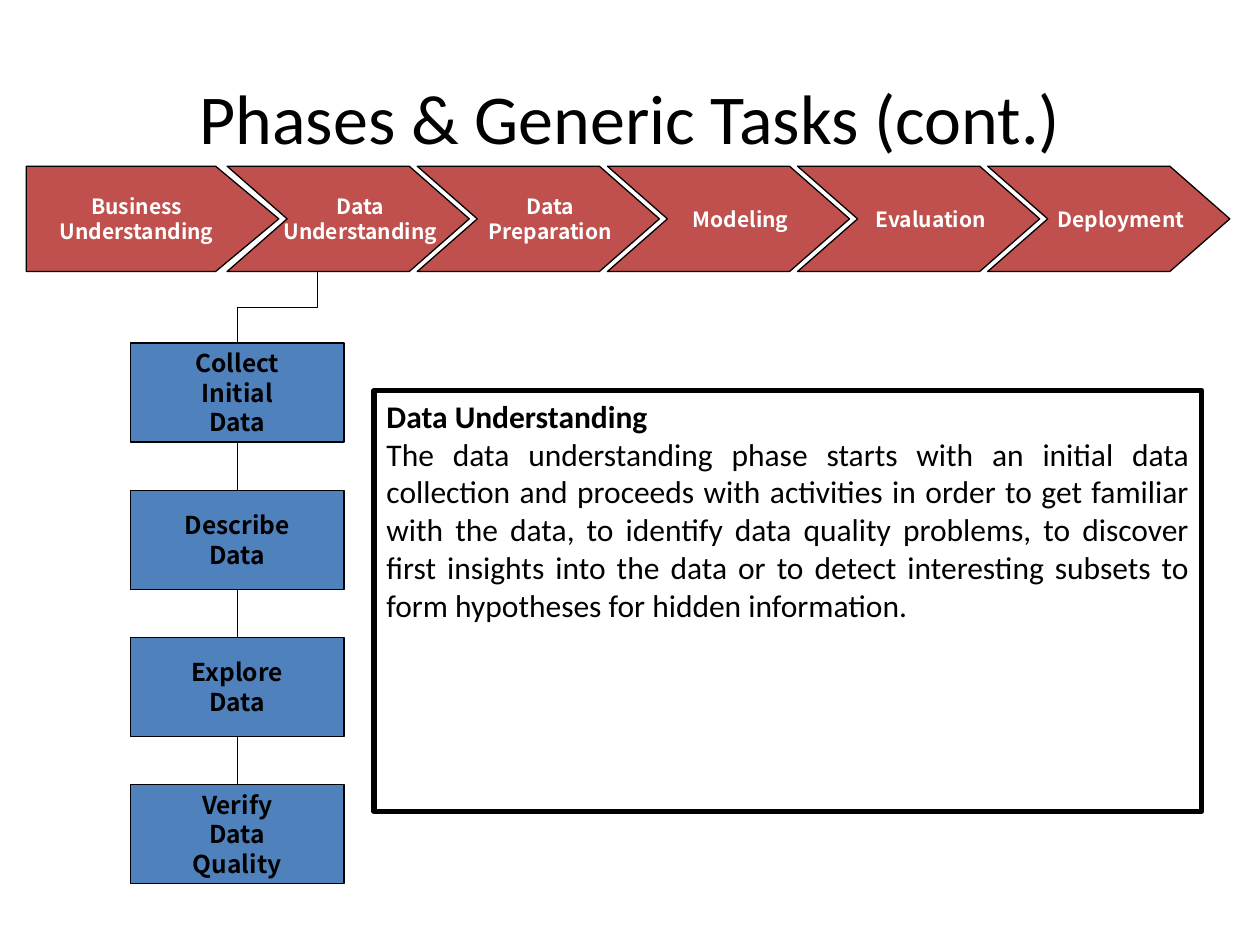
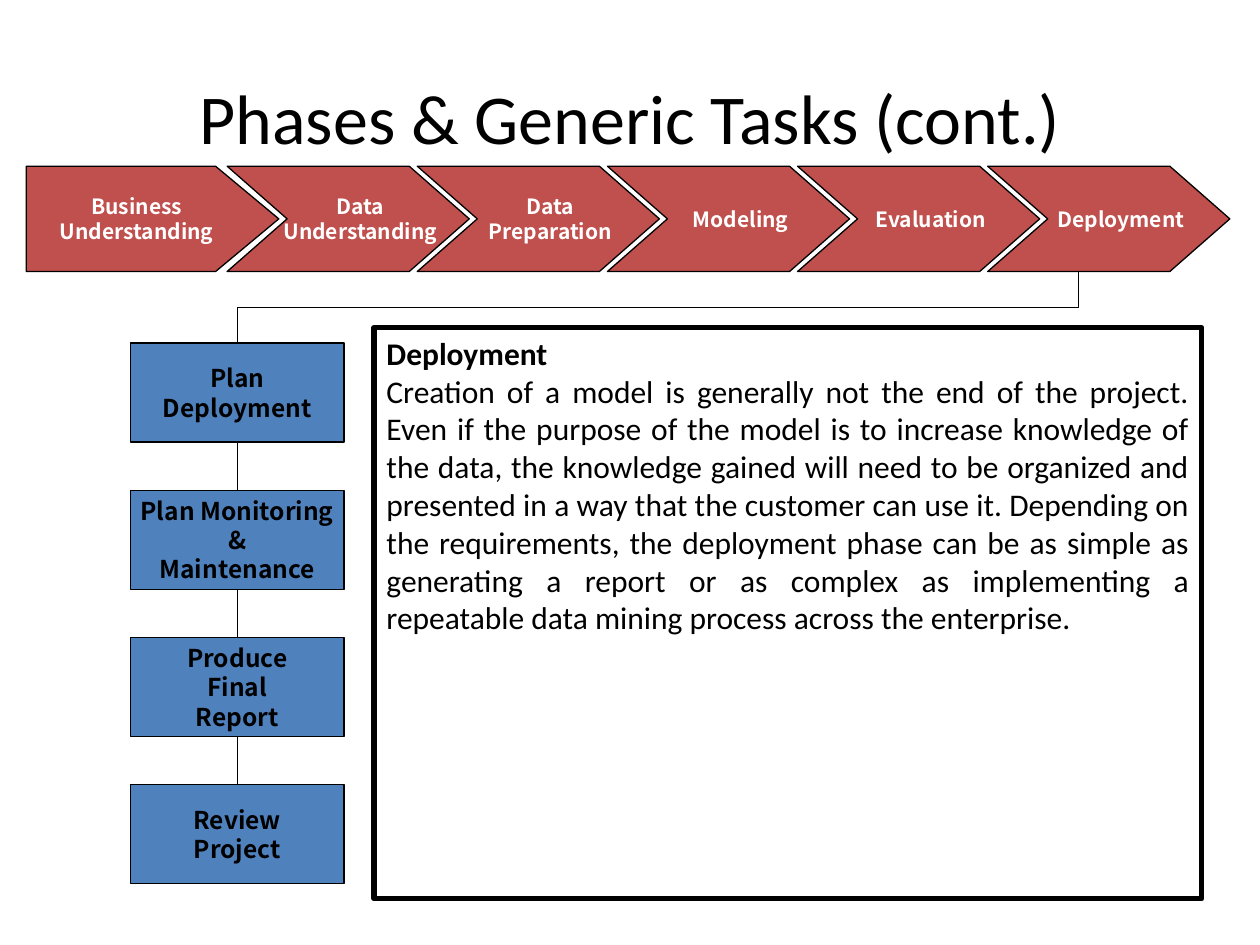
from pptx import Presentation
from pptx.dml.color import RGBColor
from pptx.enum.shapes import MSO_CONNECTOR, MSO_SHAPE
from pptx.enum.text import MSO_ANCHOR, PP_ALIGN
from pptx.oxml.ns import qn
from pptx.util import Pt
from lxml import etree

PENTAGON, CHEVRON = MSO_SHAPE.PENTAGON, MSO_SHAPE.CHEVRON
PROCESS, RECTANGLE = MSO_SHAPE.FLOWCHART_PROCESS, MSO_SHAPE.RECTANGLE
STRAIGHT, ELBOW = MSO_CONNECTOR.STRAIGHT, MSO_CONNECTOR.ELBOW
CENTER, LEFT, JUSTIFY = PP_ALIGN.CENTER, PP_ALIGN.LEFT, PP_ALIGN.JUSTIFY
MIDDLE, TOP = MSO_ANCHOR.MIDDLE, MSO_ANCHOR.TOP

COLORS = {"phase": "C0504D", "task": "4F81BD", "ink": "000000", "light": "FFFFFF"}
TEXT_FONT, DIAGRAM_FONT = "Calibri", "Noto Sans CJK KR"
THIN, THICK = 0.75, 3

# Geometry in points
BAND_TOP, BAND_HEIGHT = 95, 60.2
CHEVRON_LEFT, CHEVRON_WIDTH, CHEVRON_STEP = 129.8, 138.4, 108.65
CHEVRON_INSET = 21
TASK_LEFT, TASK_TOP, TASK_WIDTH, TASK_HEIGHT, TASK_STEP = 74.6, 196, 122, 56.6, 84.1
TASK_CENTER = TASK_LEFT + TASK_WIDTH / 2
# Distance from a chevron's left edge to the point its connector leaves from
EXIT_OFFSET = 51.8

TITLE = "Phases & Generic Tasks (cont.)"
PHASES = ["Business\nUnderstanding", "Data\nUnderstanding", "Data\nPreparation",
          "Modeling", "Evaluation", "Deployment"]

SLIDES = [
    {
        "phase": 1,
        "tasks": ["Collect\nInitial\nData", "Describe\nData", "Explore\nData",
                  "Verify\nData\nQuality"],
        "panel": (223.2, 240.5),
        "heading": "Data Understanding",
        "body": "The data understanding phase starts with an initial data collection "
                "and proceeds with activities in order to get familiar with the data, "
                "to identify data quality problems, to discover first insights into "
                "the data or to detect interesting subsets to form hypotheses for "
                "hidden information.",
    },
    {
        "phase": 5,
        "tasks": ["Plan\nDeployment", "Plan Monitoring\n&\nMaintenance",
                  "Produce\nFinal\nReport", "Review\nProject"],
        "panel": (187.2, 326.4),
        "heading": "Deployment",
        "body": "Creation of a model is generally not the end of the project. Even if "
                "the purpose of the model is to increase knowledge of the data, the "
                "knowledge gained will need to be organized and presented in a way "
                "that the customer can use it. Depending on the requirements, the "
                "deployment phase can be as simple as generating a report or as "
                "complex as implementing a repeatable data mining process across the "
                "enterprise.",
    },
]


def color(name):
    return RGBColor.from_string(COLORS[name])


def write_line(frame, index, text, size, font, ink="ink", bold=False, align=CENTER):
    paragraph = frame.paragraphs[0] if index == 0 else frame.add_paragraph()
    paragraph.alignment = align
    run = paragraph.add_run()
    run.text = text
    run.font.size, run.font.name, run.font.bold = Pt(size), font, bold
    run.font.color.rgb = color(ink)


def add_box(slide, kind, left, top, width, height, fill=None, weight=THIN):
    shape = slide.shapes.add_shape(kind, Pt(left), Pt(top), Pt(width), Pt(height))
    shape.shadow.inherit = False
    if fill:
        shape.fill.solid()
        shape.fill.fore_color.rgb = color(fill)
    else:
        shape.fill.background()
    shape.line.color.rgb = color("ink")
    shape.line.width = Pt(weight)
    return shape


def add_label(shape, label, size, ink):
    frame = shape.text_frame
    frame.word_wrap = False
    frame.vertical_anchor = MIDDLE
    for index, text in enumerate(label.split("\n")):
        write_line(frame, index, text, size, DIAGRAM_FONT, ink, bold=True)


def add_line(slide, kind, x1, y1, x2, y2):
    connector = slide.shapes.add_connector(kind, Pt(x1), Pt(y1), Pt(x2), Pt(y2))
    connector.line.color.rgb = color("ink")
    connector.line.width = Pt(THIN)
    etree.SubElement(connector.element.spPr, qn("a:effectLst"))
    return connector


def add_vertical_elbow(slide, x1, y1, x2, y2):
    """Elbow that leaves downwards: a sideways elbow turned by a quarter."""
    center_x, center_y = (x1 + x2) / 2, (y1 + y2) / 2
    half_drop, half_run = (y2 - y1) / 2, (x1 - x2) / 2
    connector = add_line(slide, ELBOW, center_x - half_drop, center_y - half_run,
                         center_x + half_drop, center_y + half_run)
    connector.element.spPr.find(qn("a:xfrm")).set("rot", str(90 * 60000))


def add_title(slide):
    box = slide.shapes.add_textbox(Pt(36), Pt(21.6), Pt(648), Pt(90))
    box.text_frame.word_wrap = True
    box.text_frame.vertical_anchor = MIDDLE
    write_line(box.text_frame, 0, TITLE, 40, TEXT_FONT)


def add_phase_band(slide):
    first, *others = PHASES
    shape = add_box(slide, PENTAGON, 15, BAND_TOP, 144.3, BAND_HEIGHT, "phase")
    shape.adjustments[0] = 0.6
    add_label(shape, first, 12, "light")
    for index, phase in enumerate(others):
        shape = add_box(slide, CHEVRON, CHEVRON_LEFT + index * CHEVRON_STEP, BAND_TOP,
                        CHEVRON_WIDTH, BAND_HEIGHT, "phase")
        shape.adjustments[0] = 0.57
        shape.text_frame.margin_left = Pt(CHEVRON_INSET)
        add_label(shape, phase, 12, "light")


def add_task_chain(slide, phase, tasks):
    for index, task in enumerate(tasks):
        top = TASK_TOP + index * TASK_STEP
        shape = add_box(slide, PROCESS, TASK_LEFT, top, TASK_WIDTH, TASK_HEIGHT, "task")
        add_label(shape, task, 14, "ink")
        if index:
            add_line(slide, STRAIGHT, TASK_CENTER, top - TASK_STEP + TASK_HEIGHT,
                     TASK_CENTER, top)
    exit_x = CHEVRON_LEFT + (phase - 1) * CHEVRON_STEP + EXIT_OFFSET
    add_vertical_elbow(slide, exit_x, BAND_TOP + BAND_HEIGHT, TASK_CENTER, TASK_TOP)


def add_panel(slide, top, height, heading, body):
    shape = add_box(slide, RECTANGLE, 213.8, top, 473, height, weight=THICK)
    frame = shape.text_frame
    frame.word_wrap = True
    frame.vertical_anchor = TOP
    write_line(frame, 0, heading, 18, TEXT_FONT, bold=True, align=LEFT)
    write_line(frame, 1, body, 18, TEXT_FONT, align=JUSTIFY)


def main():
    presentation = Presentation()
    presentation.slide_width, presentation.slide_height = Pt(720), Pt(540)
    for content in SLIDES:
        slide = presentation.slides.add_slide(presentation.slide_layouts[6])
        add_title(slide)
        add_phase_band(slide)
        add_task_chain(slide, content["phase"], content["tasks"])
        add_panel(slide, *content["panel"], content["heading"], content["body"])
    presentation.save("out.pptx")


if __name__ == "__main__":
    main()
